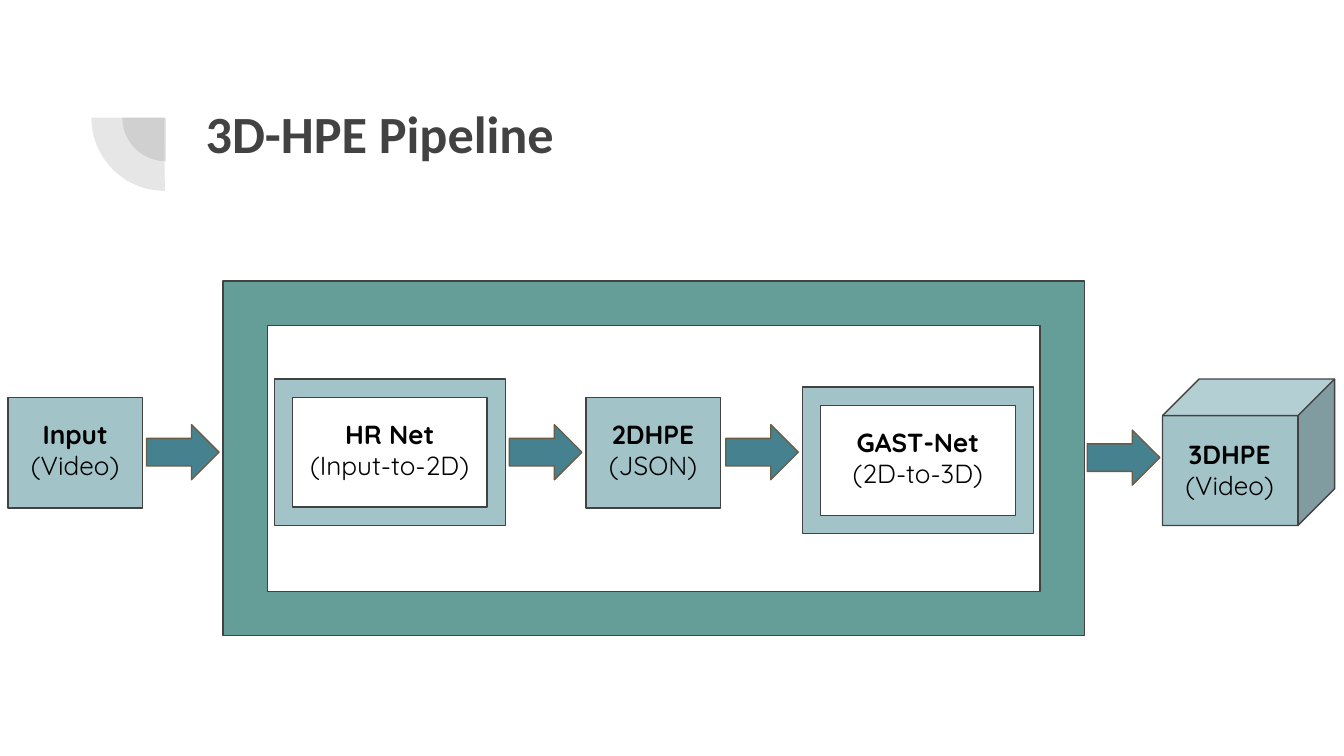
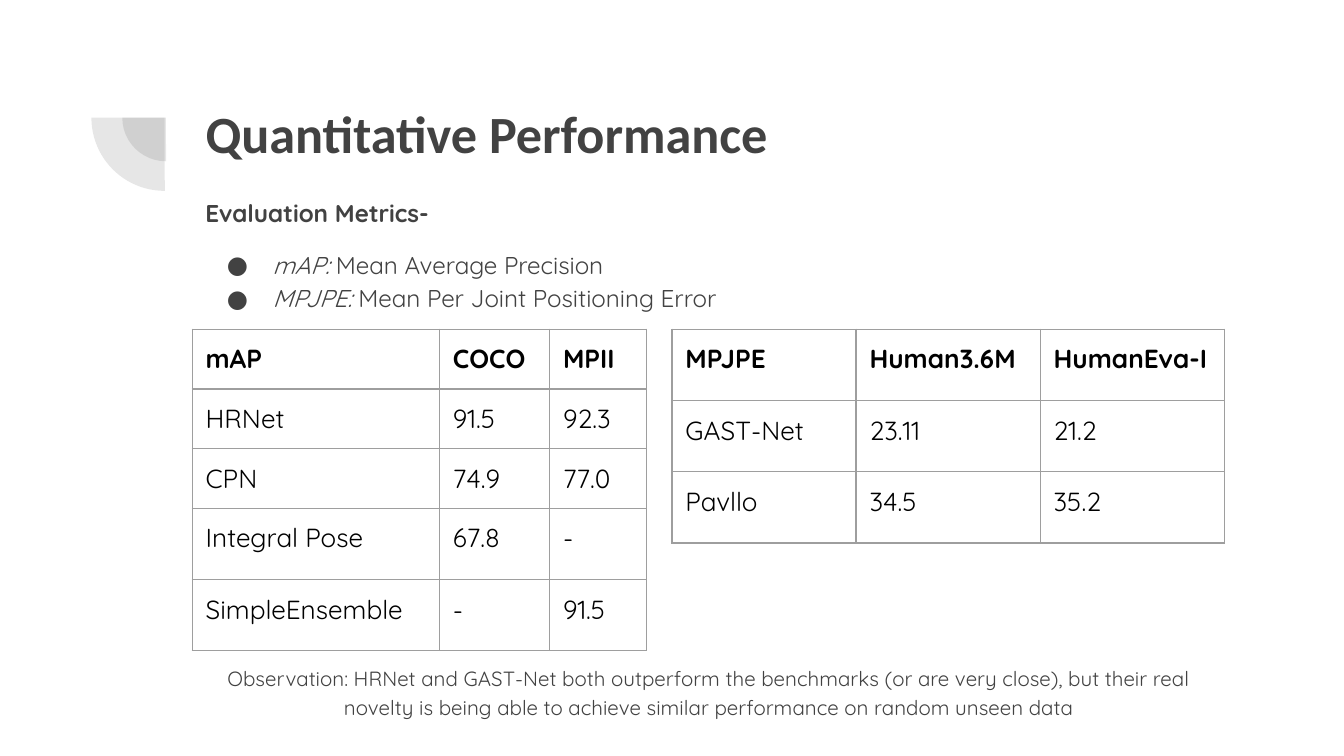
from lxml.etree import SubElement
from pptx import Presentation
from pptx.dml.color import RGBColor
from pptx.enum.shapes import MSO_SHAPE
from pptx.enum.text import MSO_ANCHOR, MSO_AUTO_SIZE, PP_ALIGN
from pptx.oxml.ns import qn
from pptx.util import Inches, Pt

WHITE = RGBColor(0xFF, 0xFF, 0xFF)
BLACK = RGBColor(0x00, 0x00, 0x00)
CHARCOAL = RGBColor(0x42, 0x42, 0x42)
PALE_TEAL = RGBColor(0xA2, 0xC4, 0xC9)
DEEP_TEAL = RGBColor(0x45, 0x81, 0x8E)
FRAME_GREEN = RGBColor(0x5C, 0x98, 0x92)
BROWN = RGBColor(0x69, 0x5D, 0x46)
GRID_GREY = RGBColor(0x9E, 0x9E, 0x9E)

TITLE_FONT = "Calibri"
BODY_FONT = "Quicksand"
MARGIN = Inches(0.1)
LEFT, WIDTH = 1.43, 7.69


def add_span(para, text, size=14, color=BLACK, font=BODY_FONT, bold=False, italic=False):
    """Append one formatted run to a paragraph."""
    span = para.add_run()
    span.text = text
    span.font.name = font
    span.font.size = Pt(size)
    span.font.color.rgb = color
    span.font.bold = bold
    span.font.italic = italic


def prepare_frame(frame):
    """Give a text frame the wrapping, margins and anchor used throughout."""
    frame.word_wrap = True
    frame.auto_size = MSO_AUTO_SIZE.NONE
    frame.vertical_anchor = MSO_ANCHOR.TOP
    frame.margin_left = frame.margin_right = MARGIN
    frame.margin_top = frame.margin_bottom = MARGIN


def add_bullet(para):
    """Turn a paragraph into an indented bullet."""
    properties = para._p.get_or_add_pPr()
    properties.set("marL", str(Inches(0.5)))
    properties.set("indent", str(Inches(-0.34)))
    color = SubElement(properties, qn("a:buClr"))
    SubElement(color, qn("a:srgbClr"), val=str(CHARCOAL))
    SubElement(properties, qn("a:buFont"), typeface=BODY_FONT)
    SubElement(properties, qn("a:buChar"), char="●")


def add_text(page, left, top, width, height, paragraphs, align=PP_ALIGN.LEFT,
             spacing=1.0):
    """Add a text box; each paragraph is a list of (text, format) spans."""
    box = page.shapes.add_textbox(Inches(left), Inches(top), Inches(width), Inches(height))
    frame = box.text_frame
    prepare_frame(frame)
    for index, spans in enumerate(paragraphs):
        para = frame.add_paragraph() if index else frame.paragraphs[0]
        para.alignment = align
        para.line_spacing = spacing
        for text, style in spans:
            add_span(para, text, **style)
    return frame.paragraphs


def add_figure(page, kind, left, top, width, height, fill, line=CHARCOAL, opacity=100):
    """Add a filled preset shape, outlined unless line is None."""
    figure = page.shapes.add_shape(kind, Inches(left), Inches(top),
                                   Inches(width), Inches(height))
    figure.shadow.inherit = False
    figure.fill.solid()
    figure.fill.fore_color.rgb = fill
    if opacity < 100:
        color = figure._element.spPr.find(qn("a:solidFill"))[0]
        SubElement(color, qn("a:alpha"), val=str(opacity * 1000))
    if line is None:
        figure.line.fill.background()
    else:
        figure.line.color.rgb = line
        figure.line.width = Pt(0.75)
    return figure


def add_page(deck, title):
    """Add a slide with the quarter-circle ornament and its title."""
    page = deck.slides.add_slide(deck.slide_layouts[5])
    page.background.fill.solid()
    page.background.fill.fore_color.rgb = WHITE
    for left, top, size in ((0.91, 0.55, 0.65), (0.68, 0.33, 1.09)):
        quarter = add_figure(page, MSO_SHAPE.PIE, left, top, size, size,
                             CHARCOAL, line=None, opacity=13)
        quarter.adjustments[0] = 107.93
        quarter.adjustments[1] = 162
        quarter.rotation = 270
    heading = page.shapes.title
    heading.left, heading.top = Inches(LEFT), Inches(0.65)
    heading.width, heading.height = Inches(WIDTH), Inches(1.09)
    prepare_frame(heading.text_frame)
    para = heading.text_frame.paragraphs[0]
    para.alignment = PP_ALIGN.LEFT
    add_span(para, title, size=28, color=CHARCOAL, font=TITLE_FONT, bold=True)
    return page


def add_label(page, left, top, width, height, name, detail, same_line=False):
    """Add a centred bold name with a plain detail beneath it."""
    first, second = (name, {"bold": True}), (detail, {})
    if same_line:
        paragraphs = [[first, (" " + detail, {})]]
    else:
        paragraphs = [[first], [second]]
    add_text(page, left, top, width, height, paragraphs, align=PP_ALIGN.CENTER)


def set_borders(cell):
    """Draw a thin grey line on all four sides of a table cell."""
    properties = cell._tc.get_or_add_tcPr()
    for side in ("lnL", "lnR", "lnT", "lnB"):
        line = SubElement(properties, qn("a:" + side), w=str(Pt(0.75)))
        fill = SubElement(line, qn("a:solidFill"))
        SubElement(fill, qn("a:srgbClr"), val=str(GRID_GREY))


def add_grid(page, left, top, widths, heights, rows):
    """Add a plain ruled table with a bold first row."""
    table = page.shapes.add_table(
        len(rows), len(widths), Inches(left), Inches(top),
        Inches(sum(widths)), Inches(sum(heights))).table
    table.first_row = table.horz_banding = False
    for column, width in zip(table.columns, widths):
        column.width = Inches(width)
    for index, values in enumerate(rows):
        table.rows[index].height = Inches(heights[index])
        for position, value in enumerate(values):
            cell = table.cell(index, position)
            set_borders(cell)
            cell.fill.background()
            cell.margin_left = cell.margin_right = MARGIN
            cell.margin_top = cell.margin_bottom = MARGIN
            add_span(cell.text_frame.paragraphs[0], value, bold=index == 0)


def build_pipeline(deck):
    """Slide 1: the flow from input video to 3D pose."""
    page = add_page(deck, "3D-HPE Pipeline")
    add_figure(page, MSO_SHAPE.CUBE, 8.65, 2.82, 1.28, 1.09, PALE_TEAL)
    add_label(page, 8.65, 3.16, 1, 0.82, "3DHPE", "(Video)")
    for left, name, detail in ((0.06, "Input", "(Video)"), (4.36, "2DHPE", "(JSON)")):
        add_figure(page, MSO_SHAPE.RECTANGLE, left, 2.96, 1, 0.82, PALE_TEAL)
        add_label(page, left + 0.05, 3.01, 0.9, 0.71, name, detail, same_line=True)
    for left, top, name, detail in ((2.04, 2.82, "HR Net", "(Input-to-2D)"),
                                    (5.97, 2.88, "GAST-Net", "(2D-to-3D)")):
        add_figure(page, MSO_SHAPE.FRAME, left, top, 1.72, 1.09, PALE_TEAL)
        add_label(page, left + 0.14, top + 0.19, 1.44, 0.71, name, detail)
    for left, top in ((1.09, 3.16), (3.79, 3.16), (5.4, 3.16), (8.09, 3.2)):
        add_figure(page, MSO_SHAPE.RIGHT_ARROW, left, top, 0.54, 0.41, DEEP_TEAL, line=BROWN)
    add_figure(page, MSO_SHAPE.FRAME, 1.66, 2.09, 6.41, 2.64, FRAME_GREEN, opacity=94)


def build_performance(deck):
    """Slide 2: the metrics, the two result tables and the observation."""
    page = add_page(deck, "Quantitative Performance")
    plain = {"size": 13, "color": CHARCOAL}
    italic = {**plain, "italic": True}
    metrics = add_text(page, LEFT, 1.34, WIDTH, 1.1, [
        [("Evaluation Metrics-", {**plain, "bold": True})],
        [("mAP:", italic), (" Mean Average Precision", plain)],
        [("MPJPE:", italic), (" Mean Per Joint Positioning Error", plain)],
    ], spacing=1.15)
    metrics[1].space_before = Pt(10)
    for para in metrics[1:]:
        add_bullet(para)

    add_grid(page, 5, 2.45, [1.37] * 3, [0.53] * 3, [
        ("MPJPE", "Human3.6M", "HumanEva-I"),
        ("GAST-Net", "23.11", "21.2"),
        ("Pavllo", "34.5", "35.2"),
    ])
    add_grid(page, LEFT, 2.45, [1.84, 0.82, 0.72], [0.42, 0.4, 0.44, 0.53, 0.53], [
        ("mAP", "COCO", "MPII"),
        ("HRNet", "91.5", "92.3"),
        ("CPN", "74.9", "77.0"),
        ("Integral Pose", "67.8", "-"),
        ("SimpleEnsemble", "-", "91.5"),
    ])
    observation = ("Observation: HRNet and GAST-Net both outperform the benchmarks "
                   "(or are very close), but their real novelty is being able to "
                   "achieve similar performance on random unseen data")
    add_text(page, LEFT, 4.83, WIDTH, 0.65, [[(observation, {**plain, "size": 11})]],
             align=PP_ALIGN.CENTER, spacing=1.15)


def main():
    """Build the widescreen deck and save it."""
    deck = Presentation()
    deck.slide_width = Inches(10)
    deck.slide_height = Inches(10 * 9 / 16)
    build_pipeline(deck)
    build_performance(deck)
    deck.save("out.pptx")


main()
